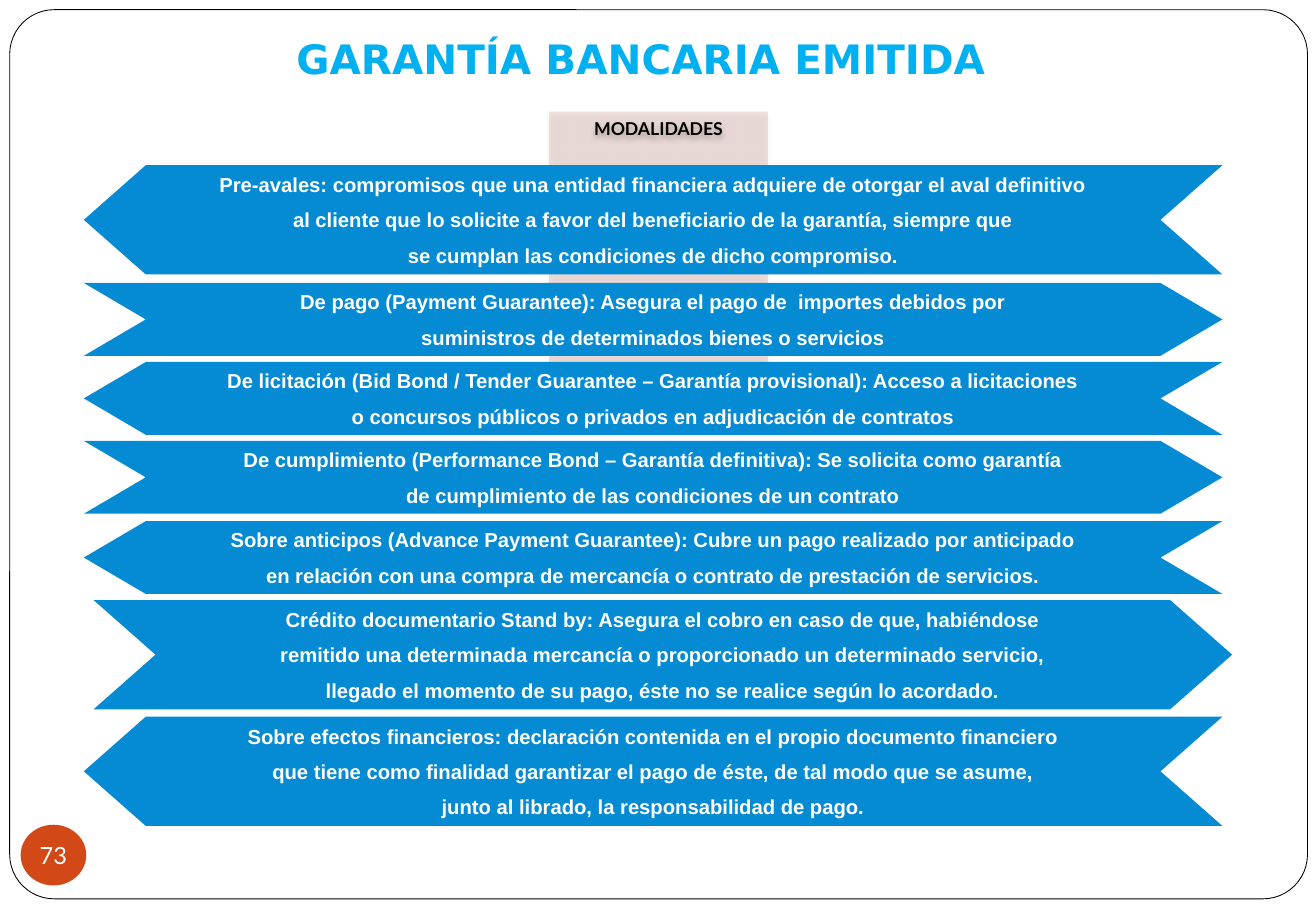
from pptx import Presentation
from pptx.util import Inches, Pt
from pptx.dml.color import RGBColor
from pptx.enum.shapes import MSO_SHAPE
from pptx.enum.text import PP_ALIGN, MSO_ANCHOR
from pptx.oxml import parse_xml
from pptx.oxml.ns import nsdecls

ROUND = MSO_SHAPE.ROUNDED_RECTANGLE
RECT = MSO_SHAPE.RECTANGLE
ARROW = MSO_SHAPE.CHEVRON
OVAL = MSO_SHAPE.OVAL
LEFT, CENTER = PP_ALIGN.LEFT, PP_ALIGN.CENTER
TOP, MIDDLE = MSO_ANCHOR.TOP, MSO_ANCHOR.MIDDLE

deck = Presentation()
deck.slide_width = Inches(10.83)
deck.slide_height = Inches(7.5)
slide = deck.slides.add_slide(deck.slide_layouts[6])


def add_block(kind, x, y, w, h, fill):
    block = slide.shapes.add_shape(kind, Inches(x), Inches(y), Inches(w), Inches(h))
    block.shadow.inherit = False
    block.fill.solid()
    block.fill.fore_color.rgb = RGBColor.from_string(fill)
    block.line.fill.background()
    return block


def write(shape, text, font, size, color, bold=True, align=CENTER, anchor=MIDDLE):
    frame = shape.text_frame
    frame.word_wrap = True
    frame.vertical_anchor = anchor
    frame.text = text
    for i, para in enumerate(frame.paragraphs):
        para.alignment = align
        para.space_before = Pt(6.6 if i else 0)
        for run in para.runs:
            run.font.name = font
            run.font.size = Pt(size)
            run.font.bold = bold
            run.font.color.rgb = RGBColor.from_string(color)


border = add_block(ROUND, 0.08, 0.08, 10.68, 7.32, "FFFFFF")
border.adjustments[0] = 0.05
border.line.color.rgb = RGBColor.from_string("000000")
border.line.width = Pt(0.5)

title = slide.shapes.add_textbox(Inches(2.34), Inches(0.23), Inches(6.16), Inches(0.5))
write(title, "GARANTÍA BANCARIA EMITIDA", "DejaVu Sans", 24, "00B0F0", align=LEFT, anchor=TOP)

modes = add_block(RECT, 4.52, 0.92, 1.8, 2.06, "9B2D1F")
write(modes, "MODALIDADES", "Lato", 10.5, "000000", anchor=TOP)
props = modes.element.spPr
tint = props.find(".//{*}solidFill/{*}srgbClr")
tint.append(parse_xml(f'<a:alpha {nsdecls("a")} val="14000"/>'))
props.find("{*}effectLst").append(parse_xml(
    f'<a:outerShdw {nsdecls("a")} blurRad="{Pt(3.5)}" dist="{Pt(2.2)}" dir="5400000" rotWithShape="0">'
    '<a:srgbClr val="000000"><a:alpha val="32000"/></a:srgbClr></a:outerShdw>'))

types = [
    (0.69, 1.36, [
        "Pre-avales: compromisos que una entidad financiera adquiere de otorgar el aval definitivo",
        "al cliente que lo solicite a favor del beneficiario de la garantía, siempre que",
        "se cumplan las condiciones de dicho compromiso."]),
    (0.69, 2.33, [
        "De pago (Payment Guarantee): Asegura el pago de  importes debidos por",
        "suministros de determinados bienes o servicios"]),
    (0.69, 2.98, [
        "De licitación (Bid Bond / Tender Guarantee – Garantía provisional): Acceso a licitaciones",
        "o concursos públicos o privados en adjudicación de contratos"]),
    (0.69, 3.63, [
        "De cumplimiento (Performance Bond – Garantía definitiva): Se solicita como garantía",
        "de cumplimiento de las condiciones de un contrato"]),
    (0.69, 4.29, [
        "Sobre anticipos (Advance Payment Guarantee): Cubre un pago realizado por anticipado",
        "en relación con una compra de mercancía o contrato de prestación de servicios."]),
    (0.77, 4.94, [
        "Crédito documentario Stand by: Asegura el cobro en caso de que, habiéndose",
        "remitido una determinada mercancía o proporcionado un determinado servicio,",
        "llegado el momento de su pago, éste no se realice según lo acordado."]),
    (0.69, 5.9, [
        "Sobre efectos financieros: declaración contenida en el propio documento financiero",
        "que tiene como finalidad garantizar el pago de éste, de tal modo que se asume,",
        "junto al librado, la responsabilidad de pago."]),
]
for i, (x, y, lines) in enumerate(types):
    high = 0.3 * len(lines)
    arrow = add_block(ARROW, x, y, 9.37, high, "058AD4")
    arrow.adjustments[0] = 0.51 / high
    write(arrow, "\n".join(lines), "Arial", 12, "FFFFFF")
    if i % 2 == 0:
        arrow.rotation = 180
        arrow.element.txBody.bodyPr.set("rot", "10800000")

badge = add_block(OVAL, 0.17, 6.79, 0.54, 0.5, "D34817")
write(badge, "73", "Lato", 14, "FFFFFF", bold=False)
frame = badge.text_frame
frame.word_wrap = False
frame.margin_left = frame.margin_right = frame.margin_top = frame.margin_bottom = 0

deck.save("out.pptx")
